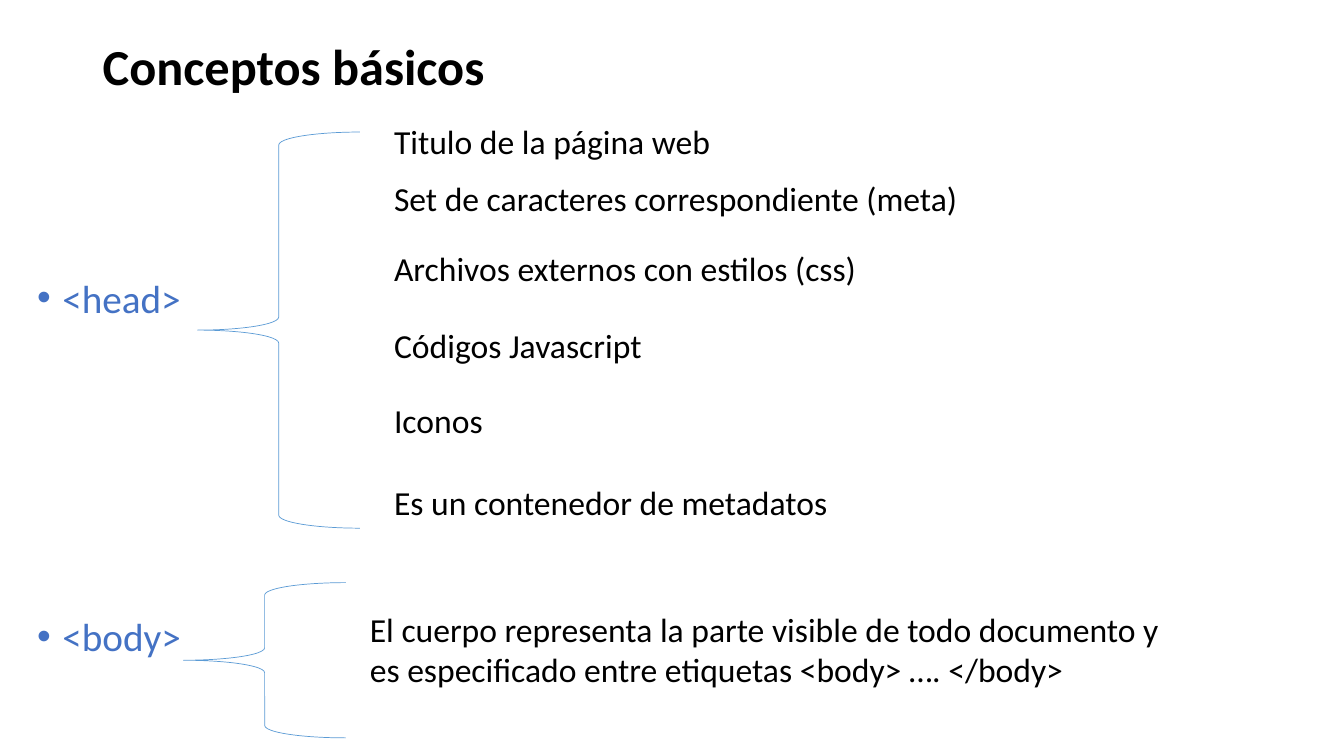
from dataclasses import dataclass

from lxml import etree
from pptx import Presentation
from pptx.dml.color import RGBColor
from pptx.enum.shapes import MSO_SHAPE
from pptx.enum.text import MSO_ANCHOR
from pptx.oxml.ns import qn
from pptx.util import Inches, Pt

BRACE = MSO_SHAPE.LEFT_BRACE
TOP, MIDDLE = MSO_ANCHOR.TOP, MSO_ANCHOR.MIDDLE


@dataclass(frozen=True)
class Theme:
    font: str = "Calibri"
    ink: str = "000000"
    tag: str = "4472C4"
    brace: str = "5B9BD5"
    title_size: int = 36
    tag_size: int = 28
    text_size: int = 24
    brace_width: float = 0.5


THEME = Theme()

# Content: places are left, top, width, height in percent of the slide
TITLE = ("Conceptos básicos", (6.9, 2.8, 86.25, 11.73))
GROUPS = [
    {
        "tag": "<head>",
        "tag_top": 35.6,
        "brace": (14.7, 17.47, 12.08, 52.4),
        "notes_left": 28.58,
        "notes": [
            (15.33, ["Titulo de la página web"]),
            (22.93, ["Set de caracteres correspondiente (meta)"]),
            (32.13, ["Archivos externos con estilos (css)"]),
            (42.27, ["Códigos Javascript"]),
            (52.27, ["Iconos"]),
            (63.07, ["Es un contenedor de metadatos"]),
        ],
    },
    {
        "tag": "<body>",
        "tag_top": 80.4,
        "brace": (13.65, 77.07, 12.08, 20.53),
        "notes_left": 26.78,
        "notes": [
            (79.87, [
                "El cuerpo representa la parte visible de todo documento y",
                "es especificado entre etiquetas <body> …. </body>",
            ]),
        ],
    },
]
TAG_LEFT, TAG_WIDTH, TAG_HEIGHT = 2.03, 15, 7.47
NOTE_WIDTH, LINE_HEIGHT = 62, 6.67

deck = Presentation()
deck.slide_width, deck.slide_height = Inches(13.333), Inches(7.5)
page = deck.slides.add_slide(deck.slide_layouts[6])


def place(shares):
    sides = (deck.slide_width, deck.slide_height) * 2
    return [round(share / 100 * side) for share, side in zip(shares, sides)]


def add_text(lines, shares, size, color=THEME.ink, bold=False, anchor=TOP):
    box = page.shapes.add_textbox(*place(shares))
    frame = box.text_frame
    frame.word_wrap = True
    frame.vertical_anchor = anchor
    frame.text = "\n".join(lines)
    formats = {"name": THEME.font, "size": Pt(size), "bold": bold}
    for para in frame.paragraphs:
        for span in para.runs:
            for name, value in formats.items():
                setattr(span.font, name, value)
            span.font.color.rgb = RGBColor.from_string(color)
    return frame


def add_bullet(para):
    settings = para._p.get_or_add_pPr()
    indent = Inches(0.25)
    settings.set("marL", str(indent))
    settings.set("indent", str(-indent))
    etree.SubElement(settings, qn("a:buFont")).set("typeface", "Arial")
    etree.SubElement(settings, qn("a:buChar")).set("char", "•")


def add_brace(shares):
    brace = page.shapes.add_shape(BRACE, *place(shares))
    brace.shadow.inherit = False
    brace.fill.background()
    brace.line.color.rgb = RGBColor.from_string(THEME.brace)
    brace.line.width = Pt(THEME.brace_width)
    brace.adjustments[0], brace.adjustments[1] = 0.08, 0.5


# Title
title, title_place = TITLE
add_text([title], title_place, THEME.title_size, bold=True, anchor=MIDDLE)

# Each tag with its brace and notes
for group in GROUPS:
    tag_place = (TAG_LEFT, group["tag_top"], TAG_WIDTH, TAG_HEIGHT)
    tag = add_text([group["tag"]], tag_place, THEME.tag_size, THEME.tag, anchor=MIDDLE)
    add_bullet(tag.paragraphs[0])
    add_brace(group["brace"])
    for top, lines in group["notes"]:
        note_place = (group["notes_left"], top, NOTE_WIDTH, LINE_HEIGHT * len(lines))
        add_text(lines, note_place, THEME.text_size)

deck.save("out.pptx")
